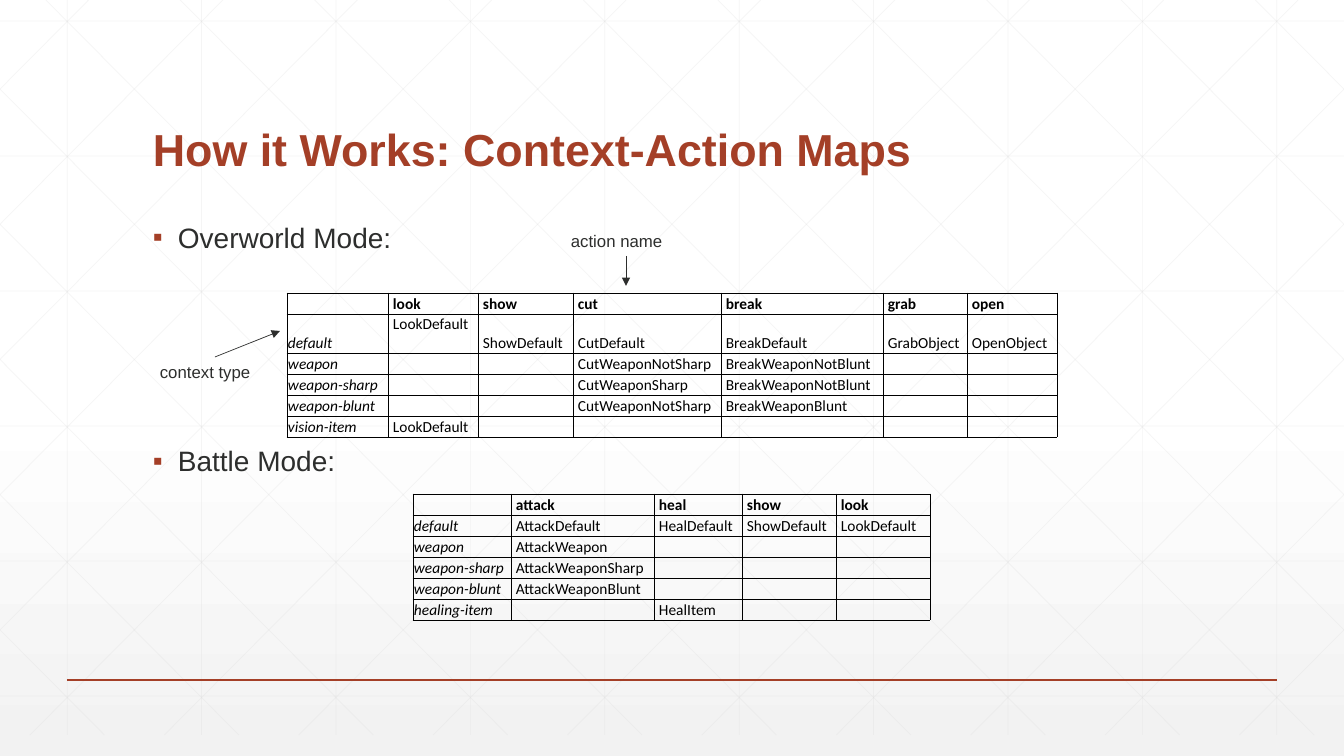
from dataclasses import dataclass
from lxml import etree
from pptx import Presentation
from pptx.dml.color import RGBColor
from pptx.enum import shapes, text
from pptx.oxml.ns import qn
from pptx.util import Pt

SLIDE_W, SLIDE_H = 1344, 756


@dataclass(frozen=True)
class Theme:
    accent: str = "A43F27"
    ink: str = "2D2E2D"
    table_ink: str = "000000"
    grid: str = "D9D9D9"
    bg_top: str = "FFFFFF"
    bg_bottom: str = "F2F2F2"
    font: str = "Arial"
    table_font: str = "Calibri"
    title_size: int = 32
    body_size: int = 20
    label_size: int = 12
    table_size: int = 11


THEME = Theme()

OVERWORLD = [
    ["", "look", "show", "cut", "break", "grab", "open"],
    ["default", "LookDefault", "ShowDefault", "CutDefault", "BreakDefault", "GrabObject", "OpenObject"],
    ["weapon", "", "", "CutWeaponNotSharp", "BreakWeaponNotBlunt", "", ""],
    ["weapon-sharp", "", "", "CutWeaponSharp", "BreakWeaponNotBlunt", "", ""],
    ["weapon-blunt", "", "", "CutWeaponNotSharp", "BreakWeaponBlunt", "", ""],
    ["vision-item", "LookDefault", "", "", "", "", ""],
]
BATTLE = [
    ["", "attack", "heal", "show", "look"],
    ["default", "AttackDefault", "HealDefault", "ShowDefault", "LookDefault"],
    ["weapon", "AttackWeapon", "", "", ""],
    ["weapon-sharp", "AttackWeaponSharp", "", "", ""],
    ["weapon-blunt", "AttackWeaponBlunt", "", "", ""],
    ["healing-item", "", "HealItem", "", ""],
]


def px(n):
    return round(n * 12192000 / SLIDE_W)


def rgb(value):
    return RGBColor.from_string(value)


def style_run(r, size, color, font=THEME.font, bold=False, italic=False):
    r.font.size, r.font.name = Pt(size), font
    r.font.bold, r.font.italic = bold, italic
    r.font.color.rgb = rgb(color)


def add_line(parent, start, end, color, width, opacity=None, arrow=False):
    line = parent.add_connector(shapes.MSO_CONNECTOR.STRAIGHT, *map(px, (*start, *end)))
    line.line.color.rgb = rgb(color)
    line.line.width = Pt(width)
    sp_pr = line._element.spPr
    if opacity:
        etree.SubElement(sp_pr.find(".//" + qn("a:srgbClr")), qn("a:alpha"), val=str(opacity * 1000))
    if arrow:
        etree.SubElement(sp_pr.find(qn("a:ln")), qn("a:tailEnd"), type="triangle")
    etree.SubElement(sp_pr, qn("a:effectLst"))
    return line


def add_text(slide, box, paragraphs, size, color, bold=False, anchor=text.MSO_ANCHOR.TOP):
    sp = slide.shapes.add_textbox(*map(px, box))
    tf = sp.text_frame
    tf.word_wrap = True
    tf.vertical_anchor = anchor
    tf.text = "\n".join(paragraphs)
    for p in tf.paragraphs:
        style_run(p.runs[0], size, color, bold=bold)
    return sp


def add_bullet(p):
    p_pr = p._p.get_or_add_pPr()
    p_pr.set("marL", str(px(25)))
    p_pr.set("indent", str(-px(25)))
    color = etree.SubElement(p_pr, qn("a:buClr"))
    etree.SubElement(color, qn("a:srgbClr"), val=THEME.accent)
    etree.SubElement(p_pr, qn("a:buFont"), typeface=THEME.font)
    etree.SubElement(p_pr, qn("a:buChar"), char="▪")


def add_cell_borders(cell):
    tc_pr = cell._tc.get_or_add_tcPr()
    for side in ("lnL", "lnR", "lnT", "lnB"):
        ln = etree.SubElement(tc_pr, qn("a:" + side), w=str(Pt(0.5)))
        fill = etree.SubElement(ln, qn("a:solidFill"))
        etree.SubElement(fill, qn("a:srgbClr"), val=THEME.table_ink)


def fill_cell(cell, value, is_header, is_context):
    cell.margin_left = px(1 if is_context else 5)
    cell.margin_right = cell.margin_top = px(1)
    cell.margin_bottom = 0
    cell.vertical_anchor = text.MSO_ANCHOR.BOTTOM
    add_cell_borders(cell)
    cell.fill.background()
    p = cell.text_frame.paragraphs[0]
    if value:
        p.text = value
        style_run(p.runs[0], THEME.table_size, THEME.table_ink, THEME.table_font, is_header, is_context)
    else:
        etree.SubElement(p._p, qn("a:endParaRPr"), sz=str(THEME.table_size * 100))


def add_map_table(slide, left, top, widths, heights, rows):
    box = (left, top, sum(widths), sum(heights))
    table = slide.shapes.add_table(len(rows), len(widths), *map(px, box)).table
    table.first_row = table.horz_banding = False
    for column, width in zip(table.columns, widths):
        column.width = px(width)
    for row, height in zip(table.rows, heights):
        row.height = px(height)
    for i, values in enumerate(rows):
        for j, value in enumerate(values):
            fill_cell(table.cell(i, j), value, i == 0, j == 0)
    return table


def add_background(slide):
    fill = slide.background.fill
    fill.gradient()
    fill.gradient_angle = 270
    stops = ((0.53, THEME.bg_top), (1, THEME.bg_bottom))
    for stop, (position, color) in zip(fill.gradient_stops, stops):
        stop.position = position
        stop.color.rgb = rgb(color)


def add_grid(slide):
    """Draw the faint square grid and both sets of diagonals, clipped to the slide."""
    grid = slide.shapes.add_group_shape().shapes
    step, bottom, above, slope = SLIDE_W / 10, 735, 21, 0.994

    def grid_line(start, end):
        add_line(grid, start, end, THEME.grid, 0.5, opacity=25)

    for k in range(10):
        x = step * (k + 0.5)
        grid_line((x, 0), (x, bottom))
    for k in range(6):
        y = 21 + 135 * k
        grid_line((0, y), (SLIDE_W, y))
    for k in range(-5, 10):
        x = 25 + step * k
        y0 = max(0, -x / slope - above)
        y1 = min(bottom, (SLIDE_W - x) / slope - above)
        x0, x1 = (x + (y + above) * slope for y in (y0, y1))
        grid_line((x0, y0), (x1, y1))
        grid_line((SLIDE_W - x0, y0), (SLIDE_W - x1, y1))


def add_callout(slide, box, label, side, start, end):
    """Add a label with an arrow that leaves the given side of its box."""
    sp = add_text(slide, box, [label], THEME.label_size, THEME.ink)
    arrow = add_line(slide.shapes, start, end, THEME.ink, 0.5, arrow=True)
    arrow.begin_connect(sp, side)


def main():
    prs = Presentation()
    prs.slide_width, prs.slide_height = px(SLIDE_W), px(SLIDE_H)
    slide = prs.slides.add_slide(prs.slide_layouts[6])
    add_background(slide)
    add_grid(slide)
    add_line(slide.shapes, (67, 680), (1277, 680), THEME.accent, 1)

    title = add_text(slide, (143, 55, 1058, 126), ["How it Works: Context-Action Maps"],
                     THEME.title_size, THEME.accent, True, text.MSO_ANCHOR.BOTTOM)
    title.text_frame.paragraphs[0].line_spacing = 0.9

    modes = add_text(slide, (143, 219, 1058, 420), ["Overworld Mode:", "Battle Mode:"],
                     THEME.body_size, THEME.ink)
    for p, gap in zip(modes.text_frame.paragraphs, (0, 138)):
        p.line_spacing = 0.9
        p.space_before = Pt(gap)
        add_bullet(p)

    add_map_table(slide, 413, 494, [98, 143, 88, 94, 94], [21] * 6, BATTLE)
    overworld = add_map_table(slide, 287, 293, [101, 90, 95, 148, 162, 84, 90],
                              [21, 39, 21, 21, 21, 21], OVERWORLD)
    overworld.cell(1, 1).vertical_anchor = text.MSO_ANCHOR.TOP

    add_callout(slide, (150, 357, 130, 30), "context type", 0, (215, 357), (280, 331))
    add_callout(slide, (561, 226, 130, 30), "action name", 2, (626, 256), (626, 286))
    prs.save("out.pptx")


if __name__ == "__main__":
    main()
